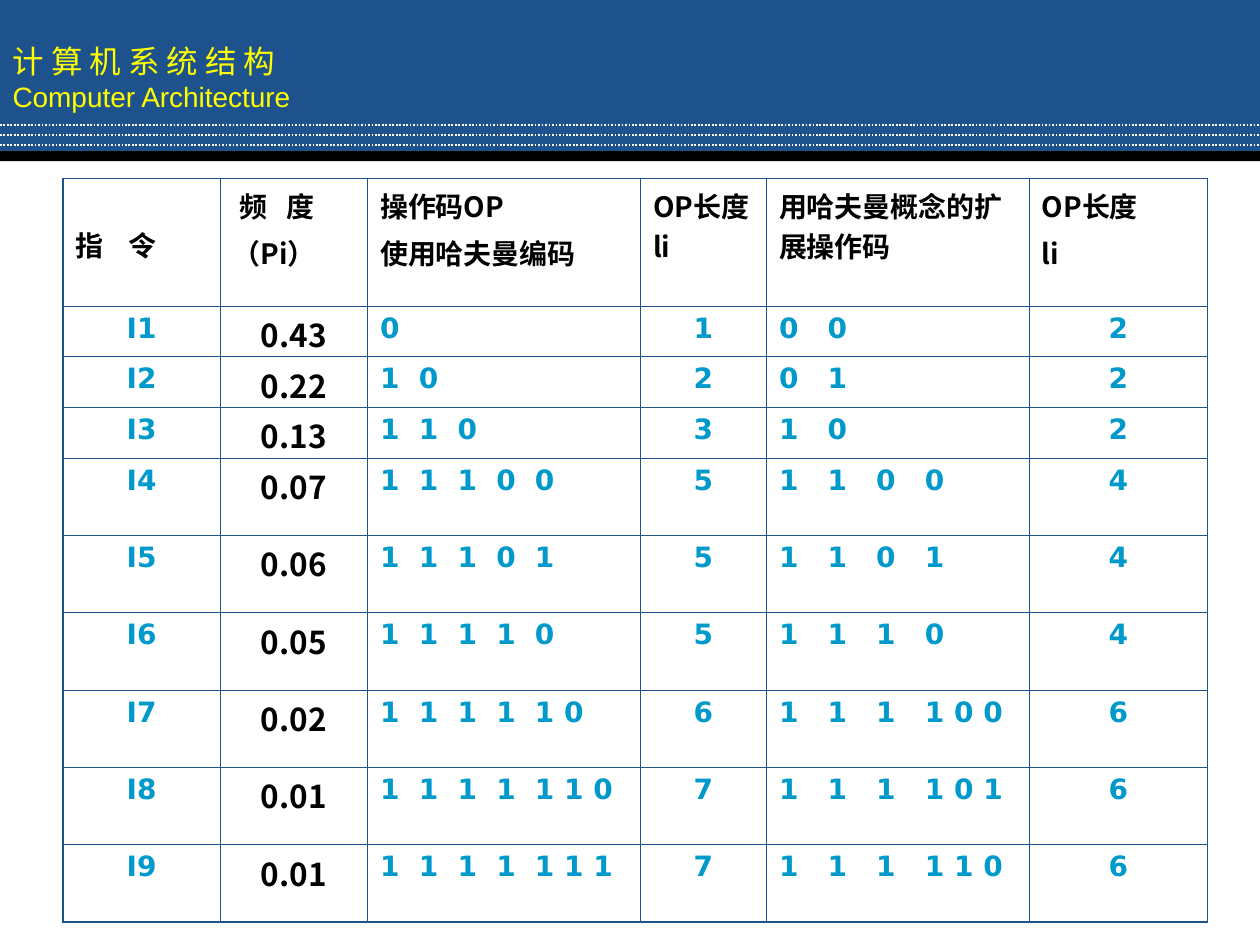
from itertools import accumulate

from lxml import etree
from pptx import Presentation
from pptx.dml.color import RGBColor
from pptx.enum.dml import MSO_LINE
from pptx.enum.shapes import MSO_CONNECTOR, MSO_SHAPE
from pptx.enum.text import MSO_ANCHOR, MSO_AUTO_SIZE, PP_ALIGN
from pptx.oxml.ns import qn
from pptx.util import Cm, Pt

BLUE = RGBColor(0x1D, 0x52, 0x8D)
CYAN = RGBColor(0x00, 0x99, 0xCC)
YELLOW = RGBColor(0xFF, 0xFF, 0x00)
WHITE = RGBColor(0xFF, 0xFF, 0xFF)
BLACK = RGBColor(0x00, 0x00, 0x00)
CJK, SANS, ARIAL = "Noto Sans CJK SC", "DejaVu Sans", "Arial"
LEFT, CENTER = PP_ALIGN.LEFT, PP_ALIGN.CENTER
MIDDLE, TOP = MSO_ANCHOR.MIDDLE, MSO_ANCHOR.TOP
NO_AUTOFIT = MSO_AUTO_SIZE.NONE
STRAIGHT, RECTANGLE = MSO_CONNECTOR.STRAIGHT, MSO_SHAPE.RECTANGLE
DOTTED = MSO_LINE.ROUND_DOT


def write(frame, lines, face, size, color, align=LEFT, bold=True, stops=()):
    """Fill a text frame; stops are tab positions in centimetres."""
    frame.text = "\n".join(lines)
    for number, paragraph in enumerate(frame.paragraphs):
        paragraph.alignment = align
        if number:
            paragraph.space_before = Pt(4)
        if stops:
            tabs = etree.SubElement(paragraph._p.get_or_add_pPr(), qn("a:tabLst"))
            for stop in stops:
                etree.SubElement(tabs, qn("a:tab"), pos=str(Cm(stop)), algn="l")
        font = paragraph.font
        font.name, font.size, font.bold = face, Pt(size), bold
        font.color.rgb = color
        etree.SubElement(font._element, qn("a:ea"), typeface=CJK)


def draw_borders(cell, widths):
    """Draw the left, right, top and bottom borders, widths in points."""
    properties = cell._tc.get_or_add_tcPr()
    for position, (side, width) in enumerate(zip(("lnL", "lnR", "lnT", "lnB"), widths)):
        border = etree.Element(qn(f"a:{side}"), w=str(Pt(width)))
        fill = etree.SubElement(border, qn("a:solidFill"))
        etree.SubElement(fill, qn("a:srgbClr"), val=str(BLUE))
        properties.insert(position, border)


prs = Presentation()
prs.slide_width, prs.slide_height = Cm(25.4), Cm(19.05)
slide = prs.slides.add_slide(prs.slide_layouts[5])

# Course title band
title = slide.shapes.title
title.left, title.top, title.width, title.height = 0, 0, prs.slide_width, Cm(3.12)
title.fill.solid()
title.fill.fore_color.rgb = BLUE
heading = title.text_frame
heading.auto_size = NO_AUTOFIT
heading.word_wrap = True
heading.vertical_anchor = MIDDLE
write(heading, ["计 算 机 系 统 结 构", "Computer Architecture"], CJK, 18, YELLOW, bold=False)
english = heading.paragraphs[1]
english.space_before = Pt(0)
english.font.name, english.font.size = ARIAL, Pt(16)

# Black rule and dotted lines under the title
rule = slide.shapes.add_shape(RECTANGLE, 0, Cm(3.05), prs.slide_width, Cm(0.2))
rule.shadow.inherit = False
rule.fill.solid()
rule.fill.fore_color.rgb = BLACK
rule.line.fill.background()
for number in range(3):
    y = Cm(2.52 + 0.2 * number)
    dots = slide.shapes.add_connector(STRAIGHT, 0, y, prs.slide_width, y)
    dots.line.color.rgb = WHITE
    dots.line.width = Pt(1)
    dots.line.dash_style = DOTTED
    etree.SubElement(dots._element.spPr, qn("a:effectLst"))

# Table contents: instruction, frequency, Huffman code, extended code
headers = [
    ["指\t令"],
    ["频\t度", "（Pi）"],
    ["操作码OP", "使用哈夫曼编码"],
    ["OP长度", "li"],
    ["用哈夫曼概念的扩展操作码"],
    ["OP长度", "li"],
]
instructions = [
    ("I1", "0.43", "0", "00"),
    ("I2", "0.22", "10", "01"),
    ("I3", "0.13", "110", "10"),
    ("I4", "0.07", "11100", "1100"),
    ("I5", "0.06", "11101", "1101"),
    ("I6", "0.05", "11110", "1110"),
    ("I7", "0.02", "111110", "111100"),
    ("I8", "0.01", "1111110", "111101"),
    ("I9", "0.01", "1111111", "111110"),
]
column_widths = [3.17, 2.97, 5.5, 2.54, 5.3, 3.59]
row_heights = [2.57] + [1.01] * 3 + [1.56] * 6

# Bits are spaced widely first, then closely
huffman_stops = list(accumulate([0.78] * 4 + [0.59] * 2))
extended_stops = list(accumulate([0.98] * 3 + [0.59] * 2))

table = slide.shapes.add_table(
    len(row_heights), len(column_widths), Cm(1.27), Cm(3.6),
    Cm(sum(column_widths)), Cm(sum(row_heights))).table
table.first_row = table.horz_banding = False
for column, width in zip(table.columns, column_widths):
    column.width = Cm(width)
for row, height in zip(table.rows, row_heights):
    row.height = Cm(height)

# Header row
header_stops = {0: [1.07], 1: [0.95]}
for column, lines in enumerate(headers):
    cell = table.cell(0, column)
    write(cell.text_frame, lines, CJK, 16, BLACK, stops=header_stops.get(column, ()))
    cell.margin_bottom = 0
table.cell(0, 0).margin_top = Cm(0.92)
table.cell(0, 1).text_frame.paragraphs[0]._p.pPr.set("marL", str(Cm(0.14)))
table.cell(0, 3).text_frame.paragraphs[1].space_before = Pt(0)

# Instruction rows
for row, (name, frequency, huffman, extended) in enumerate(instructions, start=1):
    frames = [table.cell(row, column).text_frame for column in range(6)]
    write(frames[0], [name], SANS, 16, CYAN, CENTER)
    write(frames[1], [frequency], CJK, 18, BLACK, CENTER)
    table.cell(row, 1).margin_top = Cm(0.1)
    table.cell(row, 1).margin_bottom = 0
    for column, code, stops in ((2, huffman, huffman_stops), (4, extended, extended_stops)):
        write(frames[column], ["\t".join(code)], SANS, 16, CYAN, stops=stops)
        write(frames[column + 1], [str(len(code))], SANS, 16, CYAN, CENTER)

# Thick outer frame, thin inner lines
last_row, last_column = len(row_heights) - 1, len(column_widths) - 1
for row in range(last_row + 1):
    for column in range(last_column + 1):
        cell = table.cell(row, column)
        cell.fill.background()
        cell.vertical_anchor = TOP
        outer = (column == 0, column == last_column, row == 0, row == last_row)
        draw_borders(cell, [1.08 if edge else 0.45 for edge in outer])

prs.save("out.pptx")
